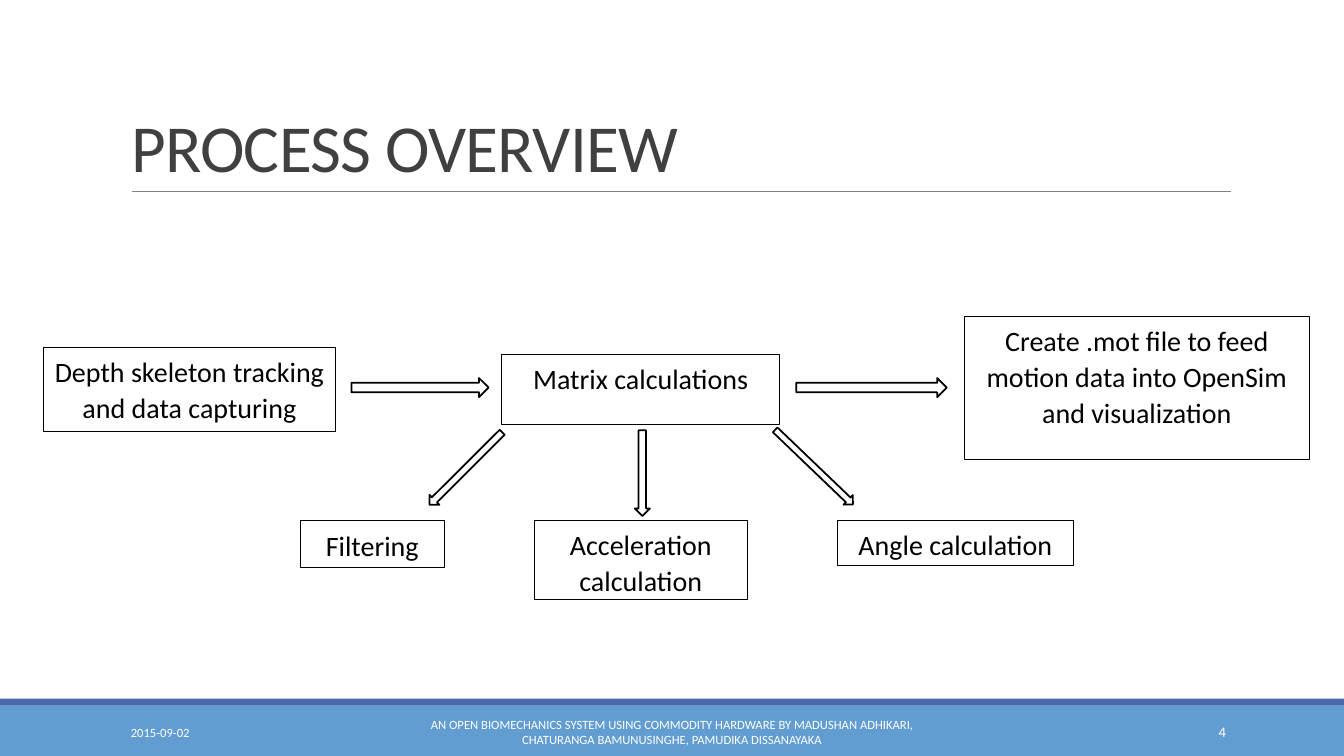
from pptx import Presentation
from pptx.dml.color import RGBColor
from pptx.enum.shapes import MSO_CONNECTOR as Link, MSO_SHAPE as Kind
from pptx.enum.text import MSO_ANCHOR as Anchor, MSO_AUTO_SIZE as Fit, PP_ALIGN as Align
from pptx.oxml.ns import qn
from pptx.util import Pt
from lxml import etree

deck = Presentation()
deck.slide_width, deck.slide_height = Pt(960), Pt(540)
slide = deck.slides.add_slide(deck.slide_layouts[5])
shapes = slide.shapes


def block(kind, place, fill, line=None, width=0.5, turn=0):
    """Add a shadowless preset shape; place is left, top, width, height."""
    shape = shapes.add_shape(kind, *map(Pt, place))
    shape.shadow.inherit = False
    shape.fill.solid()
    shape.fill.fore_color.rgb = RGBColor.from_string(fill)
    if line:
        shape.line.color.rgb = RGBColor.from_string(line)
        shape.line.width = Pt(width)
    else:
        shape.line.fill.background()
    shape.rotation = turn
    return shape


def write(shape, text, size, color, align=Align.LEFT, anchor=Anchor.MIDDLE,
          lines=1.0, after=0, track=0):
    """Set formatted text; track is letter spacing in hundredths of a point."""
    frame = shape.text_frame
    frame.word_wrap, frame.auto_size = True, Fit.NONE
    frame.vertical_anchor = anchor
    para = frame.paragraphs[0]
    para.alignment, para.line_spacing = align, lines
    para.space_before, para.space_after = Pt(0), Pt(after)
    run = para.add_run()
    run.text = text
    run.font.name, run.font.size = "Calibri", Pt(size)
    run.font.color.rgb = RGBColor.from_string(color)
    if track:
        run._r.get_or_add_rPr().set("spc", str(track))


# Bottom band and title rule
block(Kind.RECTANGLE, (0, 504, 960, 36), "629DD1")
block(Kind.RECTANGLE, (0, 499, 960, 5), "4A66AC")
rule = shapes.add_connector(Link.STRAIGHT, Pt(94.3), Pt(136.8), Pt(879), Pt(136.8))
rule.line.color.rgb = RGBColor.from_string("808080")
rule.line.width = Pt(0.5)
etree.SubElement(rule._element.spPr, qn("a:effectLst"))

title = shapes.title
title.left, title.top, title.width, title.height = Pt(86.4), Pt(22.5), Pt(792), Pt(114.3)
write(title, "PROCESS OVERVIEW", 48, "404040", anchor=Anchor.BOTTOM, lines=0.85, track=-50)

# Footer
for left, wide, text, size, align in [
    (86.4, 194.4, "2015-09-02", 9, Align.LEFT),
    (290.2, 379.4, "AN OPEN BIOMECHANICS SYSTEM USING COMMODITY HARDWARE BY MADUSHAN ADHIKARI, "
     "CHATURANGA BAMUNUSINGHE, PAMUDIKA DISSANAYAKA", 9, Align.CENTER),
    (779.8, 103, "4", 10.5, Align.RIGHT),
]:
    foot = shapes.add_textbox(Pt(left), Pt(508.5), Pt(wide), Pt(28.8))
    write(foot, text, size, "FFFFFF", align)

# Block arrows between the steps
for place, turn in [
    ((251, 270, 98, 13.7), 0),
    ((568.8, 270, 107.5, 13.7), 0),
    ((296, 329.6, 73.4, 10.1), 135.1),
    ((428.2, 332.6, 61.2, 10.8), 90),
    ((543, 329, 77, 9.4), 43.8),
]:
    block(Kind.RIGHT_ARROW, place, "FFFFFF", "000000", width=1.25, turn=turn)

# Steps
for text, place in [
    ("Depth skeleton tracking and data capturing", (30.8, 248.2, 209, 60.3)),
    ("Matrix calculations", (358.2, 253.2, 198.8, 50.2)),
    ("Create .mot file to feed motion data into OpenSim and visualization",
     (688.6, 226, 246.8, 102.2)),
    ("Filtering", (214.4, 372, 103, 33.4)),
    ("Acceleration calculation", (381.6, 371.6, 152.2, 56.8)),
    ("Angle calculation", (597.8, 371.6, 169.2, 32.4)),
]:
    step = block(Kind.RECTANGLE, place, "FFFFFF", "000000")
    write(step, text, 20, "000000", Align.CENTER, Anchor.TOP, lines=1.07, after=8)

deck.save("out.pptx")
